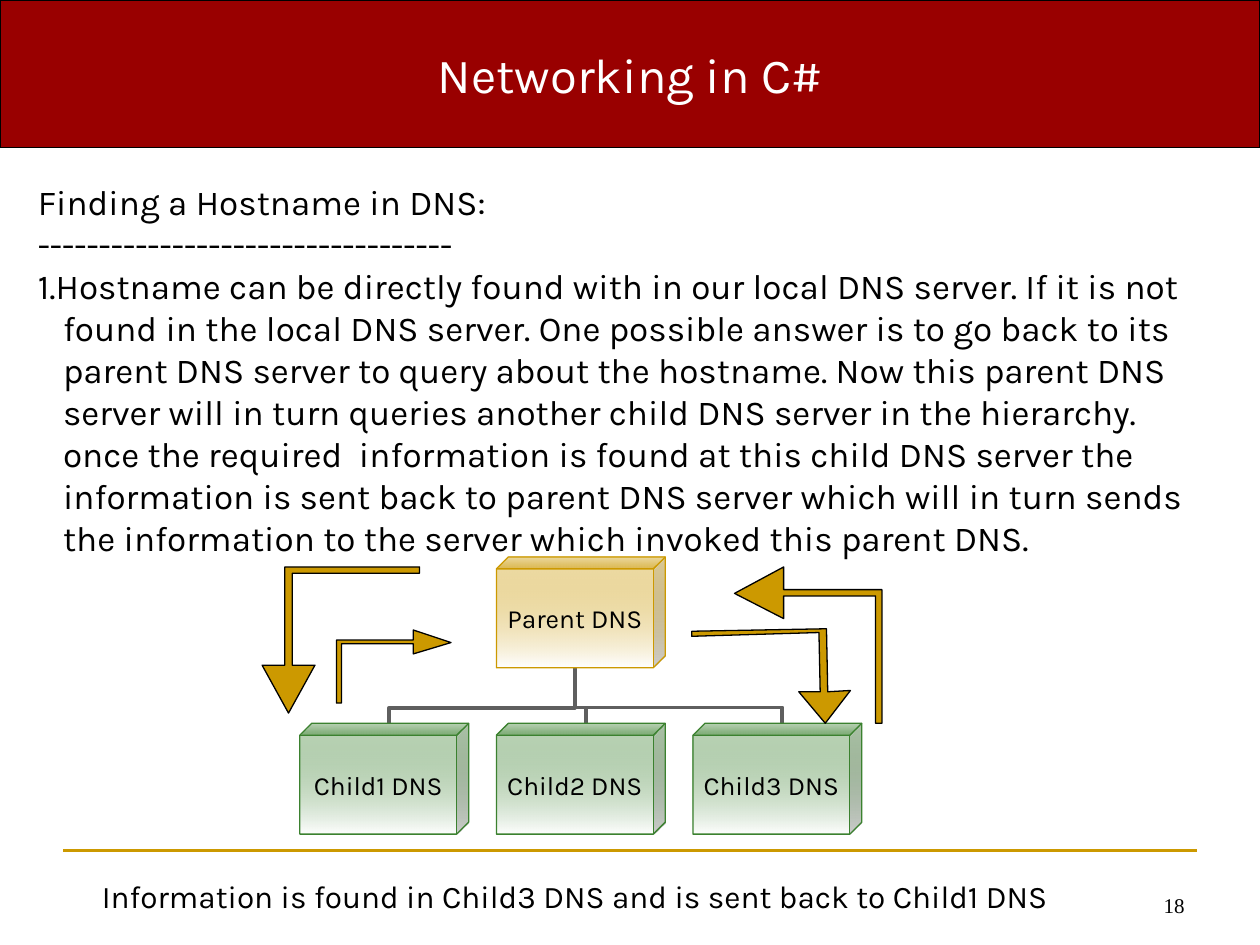
from lxml.etree import SubElement
from pptx import Presentation
from pptx.dml.color import RGBColor
from pptx.enum.shapes import MSO_CONNECTOR, MSO_SHAPE
from pptx.enum.text import MSO_ANCHOR, MSO_AUTO_SIZE, PP_ALIGN
from pptx.oxml.ns import qn
from pptx.util import Inches, Pt

COLORS = {
    "red": "990000",
    "gold": "CC9900",
    "green": "3B812F",
    "gray": "5F5F5F",
    "black": "000000",
    "white": "FFFFFF",
}
FONT = "Karla"
BOX_W, BOX_H = 1.34, 0.88
ROOT_X, ROOT_Y = 3.94, 4.42
KID_X, KID_Y, STEP = 2.38, 5.74, 1.56
KIDS = ["Child1 DNS", "Child2 DNS", "Child3 DNS"]
TRUNK = 4.56
STUBS = [3.09, 4.65, 6.21]

BODY = [
    "Finding a Hostname in DNS:",
    "-" * 34,
    "1.Hostname can be directly found with in our local DNS server. "
    "If it is not found in the local DNS server. One possible answer is to "
    "go back to its parent DNS server to query about the hostname. Now this "
    "parent DNS server will in turn queries another child DNS server in the "
    "hierarchy. once the required  information is found at this child DNS "
    "server the information is sent back to parent DNS server which will in "
    "turn sends the information to the server which invoked this parent DNS.",
]

ARROWS = [
    [(2.71, 5.58), (2.71, 5.11), (3.28, 5.11), (3.28, 5.19), (3.58, 5.1),
     (3.28, 5), (3.28, 5.08), (2.67, 5.08), (2.67, 5.58)],
    [(5.49, 5.05), (6.5, 5.02), (6.51, 5.49), (6.34, 5.49), (6.55, 5.74),
     (6.75, 5.48), (6.57, 5.49), (6.56, 4.99), (5.49, 5.01)],
    [(6.95, 5.74), (6.95, 4.73), (6.22, 4.73), (6.22, 4.91), (5.83, 4.71),
     (6.22, 4.5), (6.22, 4.68), (7, 4.68), (7, 5.74)],
    [(3.33, 4.55), (2.32, 4.55), (2.32, 5.28), (2.5, 5.28), (2.29, 5.66),
     (2.08, 5.28), (2.26, 5.28), (2.26, 4.5), (3.33, 4.5)],
]


def color(name):
    return RGBColor.from_string(COLORS[name])


def place(shape, x, y, w, h):
    shape.left, shape.top = Inches(x), Inches(y)
    shape.width, shape.height = Inches(w), Inches(h)


def style(para, size, tint="black", face=FONT, align=PP_ALIGN.LEFT):
    para.alignment = align
    para.space_before = Pt(0)
    for run in para.runs:
        run.font.size = Pt(size)
        run.font.name = face
        run.font.color.rgb = color(tint)


def edge(shape, tint, width=0.75):
    shape.line.color.rgb = color(tint)
    shape.line.width = Pt(width)


def paint(shape, fill, line):
    shape.fill.solid()
    shape.fill.fore_color.rgb = color(fill)
    edge(shape, line)


def add_title(slide, text):
    title = slide.shapes.title
    place(title, 0, 0, 10, 1.17)
    paint(title, "red", "black")
    frame = title.text_frame
    frame.text = text
    frame.vertical_anchor = MSO_ANCHOR.MIDDLE
    style(frame.paragraphs[0], 28, "white", align=PP_ALIGN.CENTER)


def add_body(slide, lines):
    body = slide.placeholders[1]
    place(body, 0.2, 1.38, 9.4, 3.1)
    frame = body.text_frame
    frame.text = "\n".join(lines)
    frame.auto_size = MSO_AUTO_SIZE.NONE
    for para in frame.paragraphs:
        props = para._p.get_or_add_pPr()
        props.set("marL", str(Inches(0.2)))
        props.set("indent", str(-Inches(0.2)))
        SubElement(props, qn("a:buNone"))
        style(para, 20)


def add_label(slide, text, x, y, w, h, size, **look):
    box = slide.shapes.add_textbox(*map(Inches, (x, y, w, h)))
    frame = box.text_frame
    frame.word_wrap = True
    frame.text = text
    style(frame.paragraphs[0], size, **look)
    return frame


def add_line(slide, kind, ends, tint, width):
    line = slide.shapes.add_connector(kind, *map(Inches, ends))
    edge(line, tint, width)
    SubElement(line._element.spPr, qn("a:effectLst"))
    return line


def add_branch(slide, x):
    top = ROOT_Y + BOX_H
    mid_x, mid_y = (x + TRUNK) / 2, (KID_Y + top) / 2
    rise, run = (KID_Y - top) / 2, (x - TRUNK) / 2
    ends = mid_x - rise, mid_y + run, mid_x + rise, mid_y - run
    line = add_line(slide, MSO_CONNECTOR.ELBOW, ends, "gray", 2.25)
    props = line._element.spPr
    props.find(qn("a:xfrm")).set("rot", str(270 * 60000))
    guides = props.find(qn("a:prstGeom")).find(qn("a:avLst"))
    SubElement(guides, qn("a:gd"), name="adj1", fmla="val 28300")


def add_cube(slide, text, x, y, tint):
    cube = slide.shapes.add_shape(
        MSO_SHAPE.CUBE, *map(Inches, (x, y, BOX_W, BOX_H)))
    cube.shadow.inherit = False
    cube.adjustments[0] = 0.108
    cube.fill.gradient()
    cube.fill.gradient_angle = 270
    for stop, name, spot in zip(cube.fill.gradient_stops, (tint, "white"), (0, 1)):
        stop.color.rgb = color(name)
        stop.position = spot
    first = next(cube._element.spPr.iter(qn("a:srgbClr")))
    SubElement(first, qn("a:alpha"), val="40000")
    edge(cube, tint)
    frame = cube.text_frame
    frame.margin_left = frame.margin_right = 0
    frame.margin_top = frame.margin_bottom = 0
    frame.word_wrap = False
    frame.vertical_anchor = MSO_ANCHOR.MIDDLE
    frame.text = text
    style(frame.paragraphs[0], 15, align=PP_ALIGN.CENTER)


def add_arrow(slide, points):
    start, *rest = [(Inches(x), Inches(y)) for x, y in points]
    path = slide.shapes.build_freeform(*start)
    path.add_line_segments(rest, close=True)
    arrow = path.convert_to_shape()
    arrow.shadow.inherit = False
    paint(arrow, "gold", "black")


def main():
    deck = Presentation()
    deck.slide_width, deck.slide_height = Inches(10), Inches(7.5)
    slide = deck.slides.add_slide(deck.slide_layouts[1])
    add_line(slide, MSO_CONNECTOR.STRAIGHT, (0.5, 6.75, 9.5, 6.75), "gold", 1.5)
    add_title(slide, "Networking in C#")
    add_body(slide, BODY)
    for x in reversed(STUBS):
        add_branch(slide, x)
    add_cube(slide, "Parent DNS", ROOT_X, ROOT_Y, "gold")
    for i, kid in enumerate(KIDS):
        add_cube(slide, kid, KID_X + i * STEP, KID_Y, "green")
    for points in ARROWS:
        add_arrow(slide, points)
    add_label(slide, "Information is found in Child3 DNS and is sent back to Child1 DNS",
              0.71, 6.91, 7.92, 0.4, 18)
    page = add_label(slide, "18", 7.17, 6.83, 2.33, 0.5, 12,
                     face="Times New Roman", align=PP_ALIGN.RIGHT)
    page.vertical_anchor = MSO_ANCHOR.BOTTOM
    deck.save("out.pptx")


if __name__ == "__main__":
    main()
